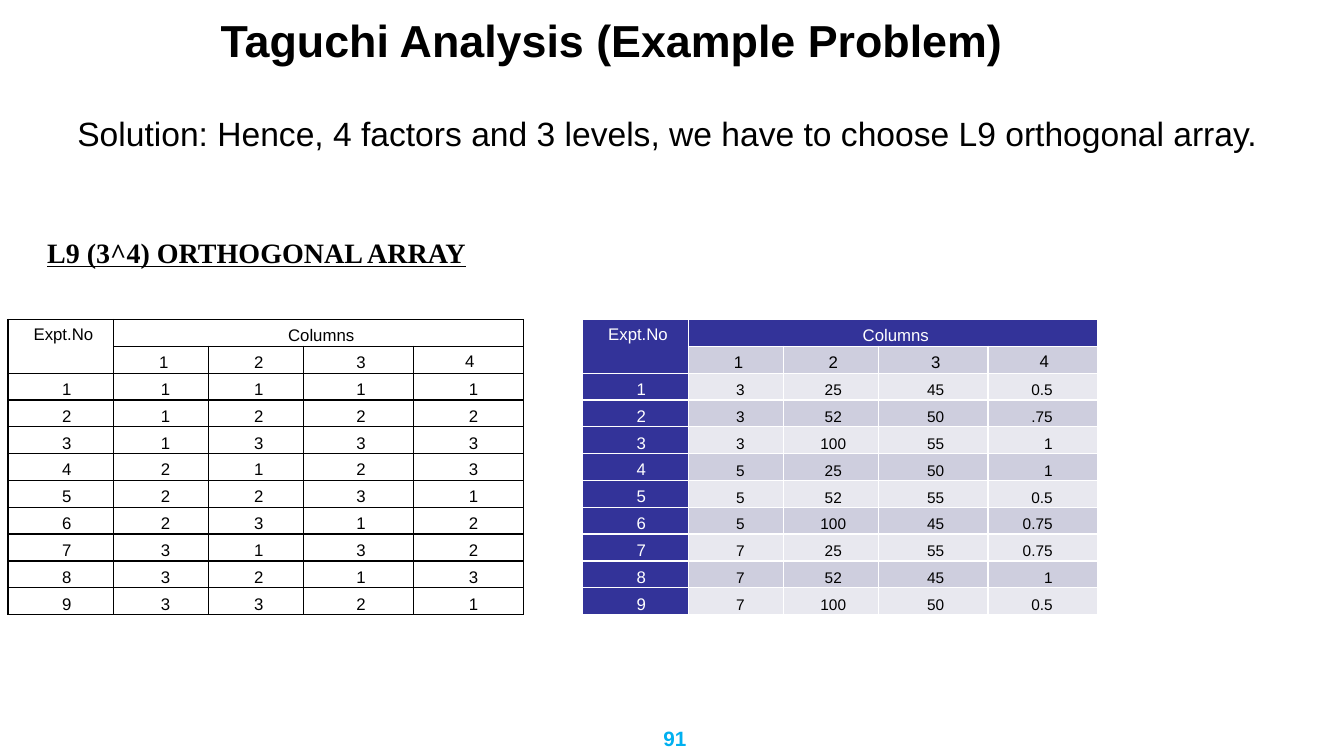
import pptx
import pptx.dml.color
import pptx.enum.text
import pptx.oxml
import pptx.oxml.ns
import pptx.util

Cm = pptx.util.Cm
Pt = pptx.util.Pt
ALIGN = pptx.enum.text.PP_ALIGN
ANCHOR = pptx.enum.text.MSO_ANCHOR

COLUMN_WIDTHS = [2.67, 2.39, 2.39, 2.77, 2.77]
TABLE_HEIGHT = 7.44
CELL_INDENT = 0.13
LAST_LABEL_INDENT = 1.3
# Right-aligned body columns and their distance from the right cell edge
RIGHT_INDENTS = {0: 1.07, 1: 0.97, 4: 1.14}

HEADER = [["Expt.No", "Columns", "", "", ""], ["", "1", "2", "3", "4"]]
LEVEL_CODES = ["1111", "1222", "1333", "2123", "2231", "2312", "3132", "3213", "3321"]
FACTOR_VALUES = [
    ["3", "25", "45", "0.5"],
    ["3", "52", "50", ".75"],
    ["3", "100", "55", "1"],
    ["5", "25", "50", "1"],
    ["5", "52", "55", "0.5"],
    ["5", "100", "45", "0.75"],
    ["7", "25", "55", "0.75"],
    ["7", "52", "45", "1"],
    ["7", "100", "50", "0.5"],
]


def colour(hex_code):
    return pptx.dml.color.RGBColor.from_string(hex_code)


class SlideBuilder:
    def __init__(self, slide, font="Arial", ink="000000"):
        self.slide = slide
        self.font = font
        self.ink = ink

    def style(self, paragraph, size, ink=None, **formats):
        values = {"name": self.font, "size": Pt(size), **formats}
        for key, value in values.items():
            setattr(paragraph.font, key, value)
        paragraph.font.color.rgb = colour(ink or self.ink)

    def text(self, wording, box, size, align=ALIGN.LEFT, anchor=ANCHOR.TOP,
             wrap=True, **formats):
        frame = self.slide.shapes.add_textbox(*map(Cm, box)).text_frame
        frame.word_wrap = wrap
        frame.vertical_anchor = anchor
        paragraph = frame.paragraphs[0]
        paragraph.text = wording
        paragraph.alignment = align
        self.style(paragraph, size, **formats)

    def borders(self, cell, hex_code):
        properties = cell._tc.get_or_add_tcPr()
        for position, side in enumerate("LRTB"):
            properties.insert(position, pptx.oxml.parse_xml(
                f'<a:ln{side} {pptx.oxml.ns.nsdecls("a")} w="{Pt(1)}"><a:solidFill>'
                f'<a:srgbClr val="{hex_code}"/></a:solidFill></a:ln{side}>'))

    def experiment_table(self, left, top, runs, line, value_size=12, banded=False):
        """Draw a two-row header and one numbered row for each run."""
        rows = HEADER + [[str(number), *run] for number, run in enumerate(runs, 1)]
        table = self.slide.shapes.add_table(
            len(rows), len(COLUMN_WIDTHS), Cm(left), Cm(top),
            Cm(sum(COLUMN_WIDTHS)), Cm(TABLE_HEIGHT)).table
        table.first_row = table.horz_banding = False
        for column, width in zip(table.columns, COLUMN_WIDTHS):
            column.width = Cm(width)
        for r, row in enumerate(rows):
            table.rows[r].height = Cm(TABLE_HEIGHT / len(rows))
            for c, wording in enumerate(row):
                cell = table.cell(r, c)
                self.place_cell_text(cell, r, c, wording)
                heading = r == 0 or c == 0
                self.style(cell.text_frame.paragraphs[0],
                           12 if heading or r == 1 else value_size,
                           "FFFFFF" if banded and heading else None)
                if banded:
                    band = "CECEDE" if r % 2 else "E8E8EF"
                    cell.fill.solid()
                    cell.fill.fore_color.rgb = colour("333399" if heading else band)
                else:
                    cell.fill.background()
                self.borders(cell, line)
        table.cell(0, 0).merge(table.cell(1, 0))
        table.cell(0, 1).merge(table.cell(0, 4))

    def place_cell_text(self, cell, r, c, wording):
        last_label = (r, c) == (1, 4)
        right_indent = RIGHT_INDENTS.get(c, 0) if r > 1 else 0
        margins = {
            "margin_left": Cm(LAST_LABEL_INDENT if last_label else CELL_INDENT),
            "margin_right": Cm(right_indent),
            "margin_top": 0,
            "margin_bottom": 0,
        }
        for key, value in margins.items():
            setattr(cell, key, value)
        at_top = last_label or (r < 2 and c == 0)
        cell.vertical_anchor = ANCHOR.TOP if at_top else ANCHOR.MIDDLE
        paragraph = cell.text_frame.paragraphs[0]
        paragraph.text = wording
        paragraph.line_spacing = Pt(17.8)
        if last_label:
            paragraph.alignment = ALIGN.LEFT
        else:
            paragraph.alignment = ALIGN.RIGHT if right_indent else ALIGN.CENTER


def main():
    deck = pptx.Presentation()
    deck.slide_width, deck.slide_height = Cm(33.87), Cm(19.05)
    page = SlideBuilder(deck.slides.add_slide(deck.slide_layouts[6]))

    page.text("Taguchi Analysis (Example Problem)", (5.31, 0.41, 28.52, 1.19), 32,
              anchor=ANCHOR.MIDDLE, bold=True)
    page.text("Solution: Hence, 4 factors and 3 levels, we have to choose L9 orthogonal array.",
              (1.7, 2.72, 30.48, 14.3), 24, align=ALIGN.JUSTIFY)
    page.text("91", (15.65, 18.16, 2.72, 1.04), 14.8, align=ALIGN.CENTER,
              ink="00B0F0", bold=True)
    page.experiment_table(0.2, 8.05, LEVEL_CODES, line="000000")
    page.text("L9 (3^4) ORTHOGONAL ARRAY", (0.94, 5.79, 11.51, 1.12), 20,
              anchor=ANCHOR.MIDDLE, wrap=False, name="Times New Roman",
              bold=True, underline=True)
    page.experiment_table(14.68, 8.05, FACTOR_VALUES, line="FFFFFF",
                          value_size=11, banded=True)
    deck.save("out.pptx")


if __name__ == "__main__":
    main()
